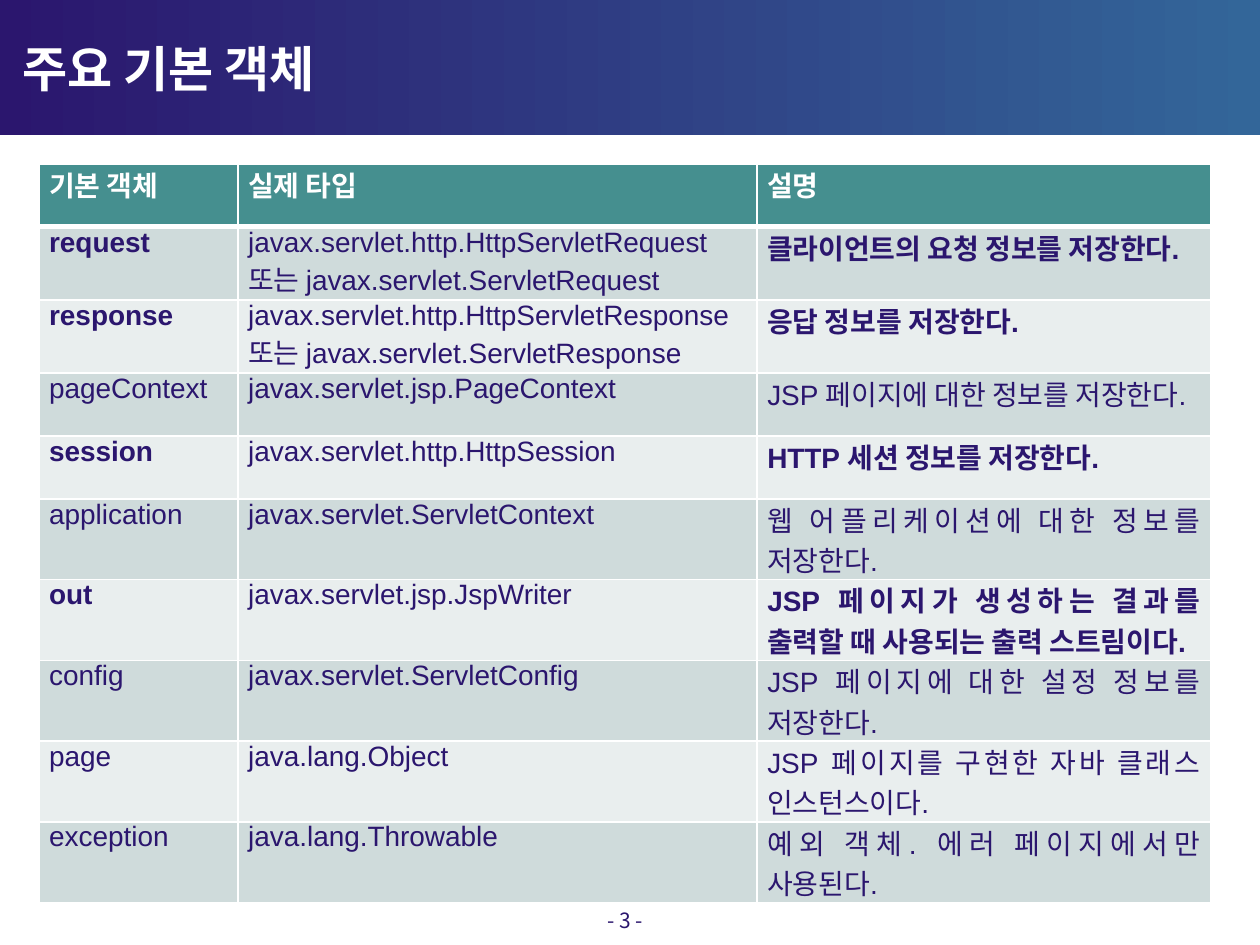
from pptx import Presentation
from pptx.dml.color import RGBColor
from pptx.enum import shapes, text
from pptx.oxml.ns import qn
from pptx.util import Inches, Pt
from lxml import etree

NAVY, BLUE, TEAL, WHITE = "2B166E", "336699", "458F8F", "FFFFFF"
BANDS = ["CFDBDB", "E9EEEE"]
KOREAN_FONT = "Noto Sans CJK KR"
COLUMN_WIDTHS = [1.58, 4.12, 3.6]
TALL_ROW, SHORT_ROW = 0.58, 0.5
SHORT_ROWS = ("기본 객체", "pageContext", "session")
BOLD_OBJECTS = ("request", "response", "session", "out")
ROWS = [
    ("기본 객체", "실제 타입", "설명"),
    ("request", "javax.servlet.http.HttpServletRequest\n또는 javax.servlet.ServletRequest",
     "클라이언트의 요청 정보를 저장한다."),
    ("response", "javax.servlet.http.HttpServletResponse\n또는 javax.servlet.ServletResponse",
     "응답 정보를 저장한다."),
    ("pageContext", "javax.servlet.jsp.PageContext", "JSP 페이지에 대한 정보를 저장한다."),
    ("session", "javax.servlet.http.HttpSession", "HTTP 세션 정보를 저장한다."),
    ("application", "javax.servlet.ServletContext", "웹 어플리케이션에 대한 정보를 저장한다."),
    ("out", "javax.servlet.jsp.JspWriter",
     "JSP 페이지가 생성하는 결과를 출력할 때 사용되는 출력 스트림이다."),
    ("config", "javax.servlet.ServletConfig", "JSP 페이지에 대한 설정 정보를 저장한다."),
    ("page", "java.lang.Object", "JSP 페이지를 구현한 자바 클래스 인스턴스이다."),
    ("exception", "java.lang.Throwable", "예외 객체. 에러 페이지에서만 사용된다."),
]


def color(value):
    return RGBColor.from_string(value)


def format_paragraph(paragraph, size, font_name, font_color, bold, alignment):
    paragraph.alignment = alignment
    font = paragraph.font
    font.size, font.name, font.bold = Pt(size), font_name, bold
    font.color.rgb = color(font_color)
    properties = paragraph._p.pPr.find(qn("a:defRPr"))
    etree.SubElement(properties, qn("a:ea"), typeface=KOREAN_FONT)


def add_footer_line(slide):
    line = slide.shapes.add_connector(
        shapes.MSO_CONNECTOR.STRAIGHT, Inches(0.46), Inches(7.14), Inches(9.6), Inches(7.14))
    line.line.color.rgb = color(NAVY)
    line.line.width = Pt(0.75)
    etree.SubElement(line._element.spPr, qn("a:effectLst"))


def add_banner(slide):
    banner = slide.shapes.add_shape(
        shapes.MSO_SHAPE.RECTANGLE, 0, 0, Inches(10), Inches(1.07))
    banner.shadow.inherit = False
    banner.line.fill.background()
    banner.fill.gradient()
    banner.fill.gradient_angle = 0
    for stop, value, position in zip(banner.fill.gradient_stops, (NAVY, BLUE), (0, 1)):
        stop.color.rgb = color(value)
        stop.position = position


def add_page_number(slide):
    box = slide.shapes.add_textbox(Inches(3.98), Inches(7.19), Inches(1.96), Inches(0.22))
    frame = box.text_frame
    frame.word_wrap = True
    frame.margin_top = frame.margin_bottom = 0
    frame.vertical_anchor = text.MSO_ANCHOR.MIDDLE
    frame.text = "- 3 -"
    format_paragraph(frame.paragraphs[0], 12, KOREAN_FONT, NAVY, False, text.PP_ALIGN.CENTER)


def place_title(slide):
    title = slide.shapes.title
    title.left, title.top = Inches(0.08), Inches(0.23)
    title.width, title.height = Inches(7.5), Inches(0.62)
    frame = title.text_frame
    frame.text = "주요 기본 객체"
    frame.vertical_anchor = text.MSO_ANCHOR.MIDDLE
    frame.auto_size = text.MSO_AUTO_SIZE.NONE
    format_paragraph(frame.paragraphs[0], 28, KOREAN_FONT, WHITE, True, text.PP_ALIGN.LEFT)
    slide.shapes._spTree.append(title._element)


def set_borders(cell, row_index):
    widths = {"L": 1, "R": 1, "T": 3 if row_index == 1 else 1, "B": 3 if row_index == 0 else 1}
    properties = cell._tc.get_or_add_tcPr()
    for position, (side, width) in enumerate(widths.items()):
        border = etree.Element(qn(f"a:ln{side}"), w=str(Pt(width)))
        fill = etree.SubElement(border, qn("a:solidFill"))
        etree.SubElement(fill, qn("a:srgbClr"), val=WHITE)
        properties.insert(position, border)


def fill_cell(cell, content, row_index, bold):
    header = row_index == 0
    cell.margin_left = cell.margin_right = Inches(0.08)
    cell.margin_top = cell.margin_bottom = 0
    cell.fill.solid()
    cell.fill.fore_color.rgb = color(TEAL if header else BANDS[(row_index - 1) % 2])
    set_borders(cell, row_index)
    cell.text = content
    for paragraph in cell.text_frame.paragraphs:
        format_paragraph(paragraph, 16, "Arial", WHITE if header else NAVY, bold,
                         text.PP_ALIGN.JUSTIFY)


def add_object_table(slide):
    table = slide.shapes.add_table(
        len(ROWS), len(COLUMN_WIDTHS), Inches(0.31), Inches(1.3), Inches(9.3), Inches(5.8)).table
    for column, width in zip(table.columns, COLUMN_WIDTHS):
        column.width = Inches(width)
    for row_index, values in enumerate(ROWS):
        name = values[0]
        table.rows[row_index].height = Inches(SHORT_ROW if name in SHORT_ROWS else TALL_ROW)
        for column_index, content in enumerate(values):
            bold = row_index == 0 or (name in BOLD_OBJECTS and column_index != 1)
            fill_cell(table.cell(row_index, column_index), content, row_index, bold)


def main():
    presentation = Presentation()
    presentation.slide_width, presentation.slide_height = Inches(10), Inches(7.5)
    slide = presentation.slides.add_slide(presentation.slide_layouts[5])
    add_footer_line(slide)
    add_banner(slide)
    add_page_number(slide)
    place_title(slide)
    add_object_table(slide)
    presentation.save("out.pptx")


if __name__ == "__main__":
    main()
